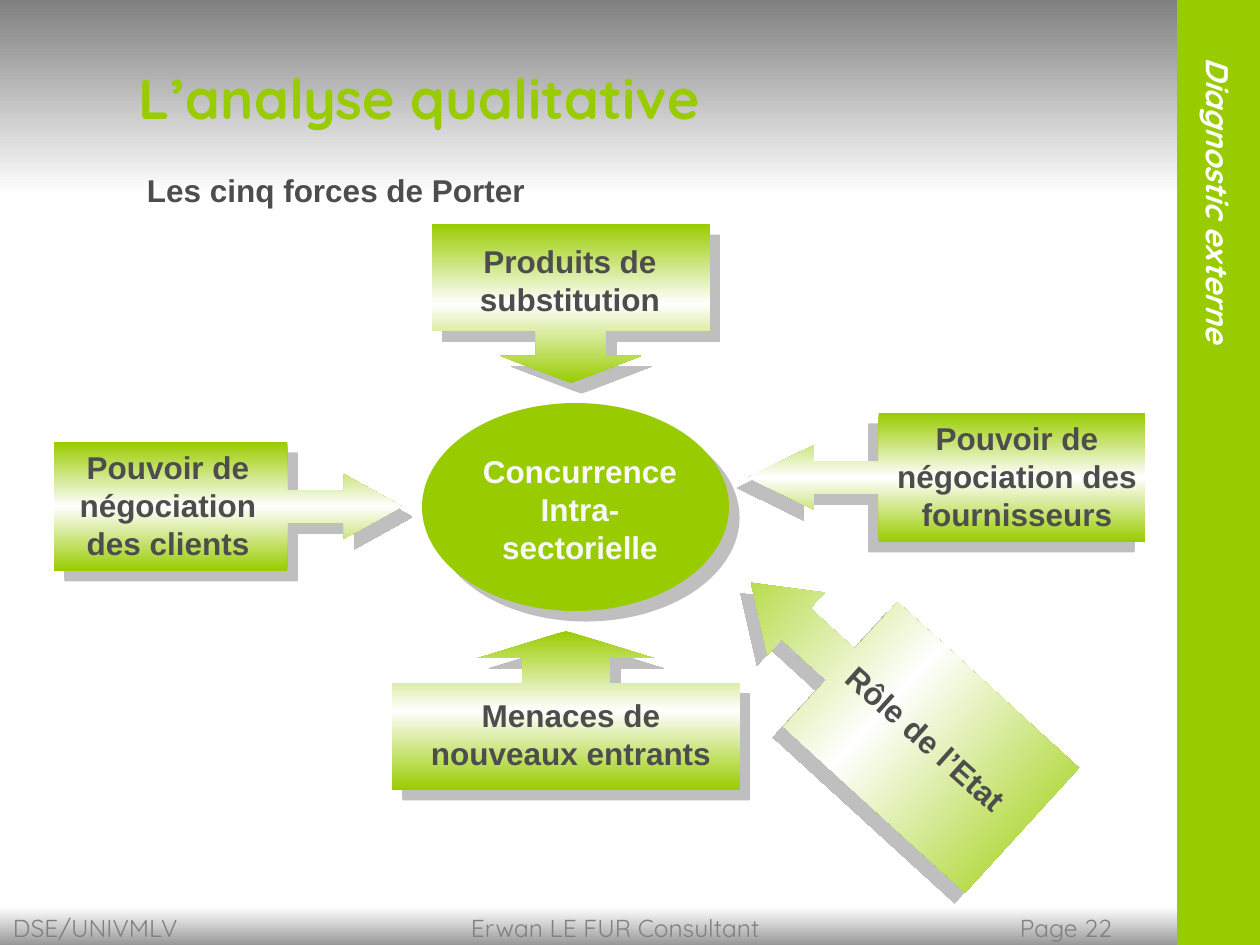
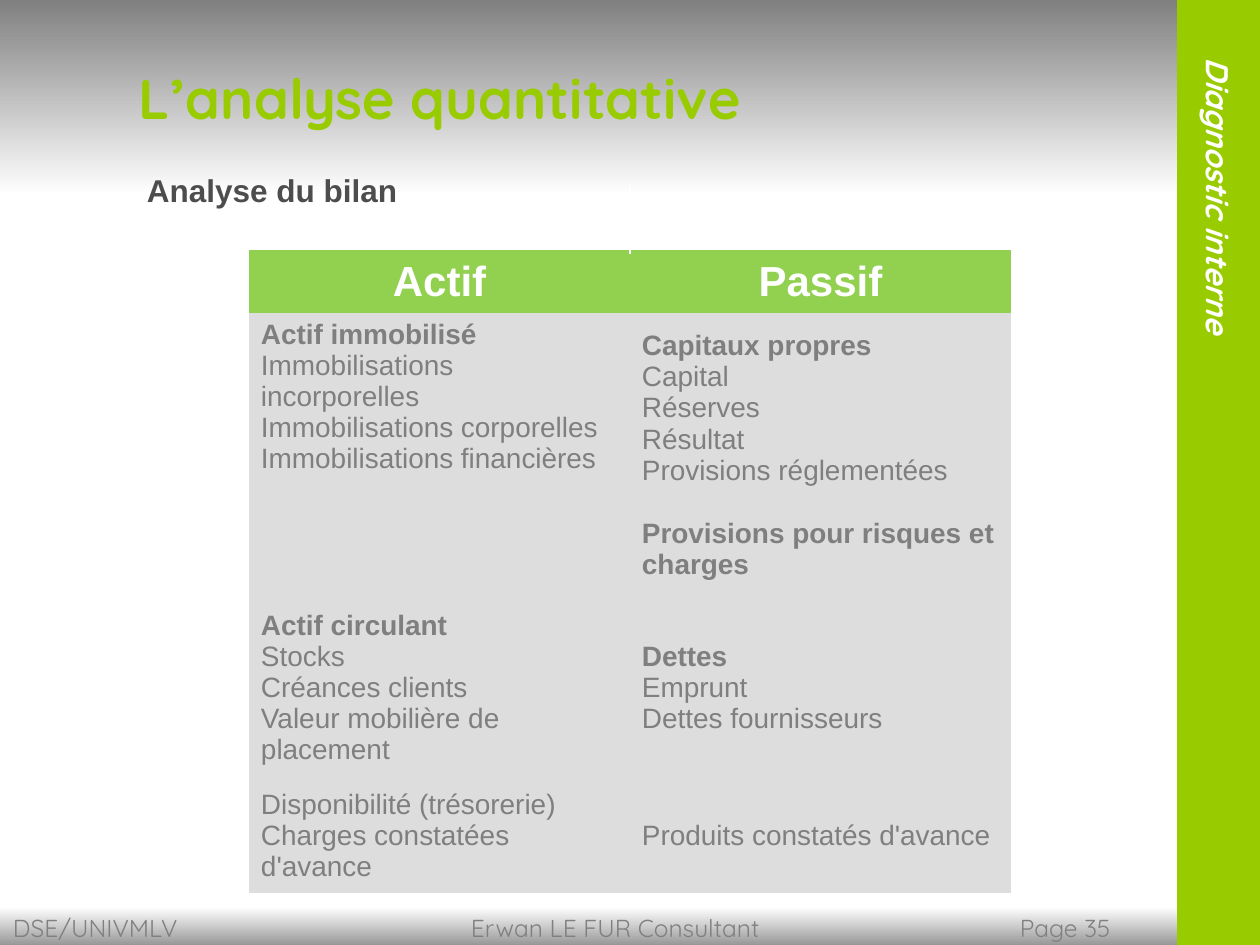
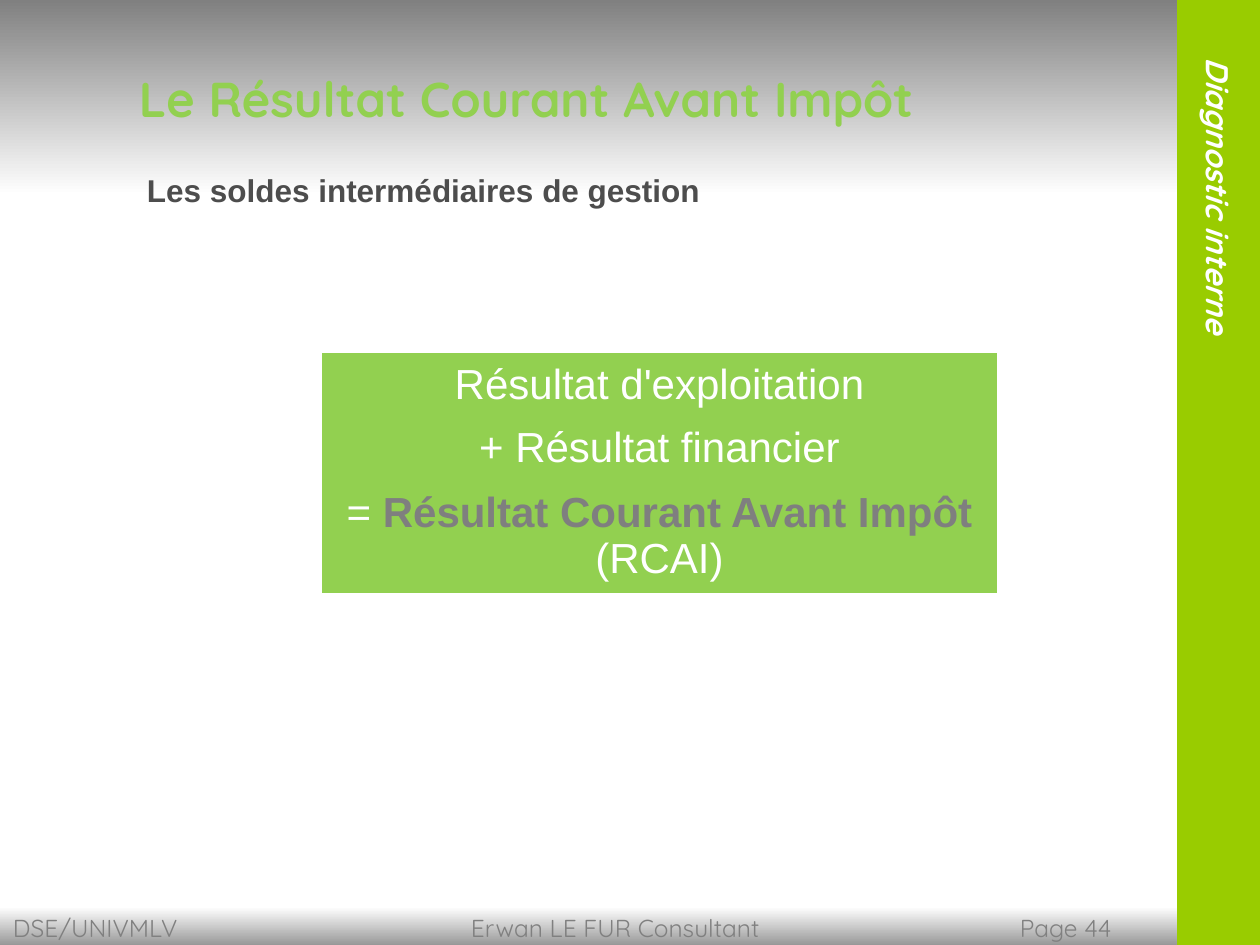
from lxml import etree
from pptx import Presentation
from pptx import util as u
from pptx.dml.color import RGBColor
from pptx.enum import shapes, text
from pptx.oxml import ns

LIME = RGBColor(0x99, 0xCC, 0x00)
LEAF = RGBColor(0x92, 0xD0, 0x50)
WHITE = RGBColor(0xFF, 0xFF, 0xFF)
PALE = RGBColor(0xF8, 0xF8, 0xF8)
SILVER = RGBColor(0xDD, 0xDD, 0xDD)
GREY = RGBColor(0x80, 0x80, 0x80)
CELL_GREY = RGBColor(0x7F, 0x7F, 0x7F)
DARK = RGBColor(0x4D, 0x4D, 0x4D)

PX = u.Inches(1) / 126
WIDTH, HEIGHT = 1260, 945
CENTER = text.PP_ALIGN.CENTER
LEFT = text.PP_ALIGN.LEFT
MIDDLE = text.MSO_ANCHOR.MIDDLE
TOP = text.MSO_ANCHOR.TOP
SHAPE = shapes.MSO_SHAPE
NO_GRID = "{2D5ABB26-0587-4C30-8999-92F81FD0307C}"
LINE_GAP = 18.4


def emu(*lengths):
    return [round(length * PX) for length in lengths]


def child(parent, tag, **attributes):
    values = {name: str(value) for name, value in attributes.items()}
    return etree.SubElement(parent, ns.qn(tag), values)


def write(para, words, font="Arial", size=18, color=DARK, bold=False,
          italic=False, align=None, before=0):
    if align is not None:
        para.alignment = align
    if before:
        para.space_before = u.Pt(before)
    span = para.add_run()
    span.text = words
    span.font.name = font
    span.font.size = u.Pt(size)
    span.font.color.rgb = color
    span.font.bold = bold
    span.font.italic = italic


def set_frame(holder, insets=(13, 6, 13, 6), anchor=TOP):
    holder.margin_left, holder.margin_top, holder.margin_right, holder.margin_bottom = emu(*insets)
    holder.vertical_anchor = anchor


class Deck:
    def __init__(self):
        self.deck = Presentation()
        self.deck.slide_width, self.deck.slide_height = emu(WIDTH, HEIGHT)
        self.page = None

    def new_page(self, title, subtitle, size=32, color=LIME):
        self.page = self.deck.slides.add_slide(self.deck.slide_layouts[5])
        box = self.page.shapes.title
        box.left, box.top, box.width, box.height = emu(0, 0, 1206, 195)
        self.gradient(box, [GREY, WHITE])
        frame = box.text_frame
        frame.word_wrap = True
        frame.auto_size = text.MSO_AUTO_SIZE.NONE
        set_frame(frame, (139, 6, 13, 6), MIDDLE)
        write(frame.paragraphs[0], title, font="Quicksand", size=size, color=color,
              bold=True, align=LEFT)
        self.label((134, 165, 665, 88), subtitle, align=LEFT)

    def finish_page(self, number, section):
        footer = self.shape(SHAPE.RECTANGLE, (0, 907, WIDTH, 47))
        self.gradient(footer, [WHITE, GREY])
        set_frame(footer.text_frame)
        para = footer.text_frame.paragraphs[0]
        para.alignment = LEFT
        stops = child(para._p.get_or_add_pPr(), "a:tabLst")
        for stop in emu(458, 1007):
            child(stops, "a:tab", pos=stop, algn="l")
        write(para, f"DSE/UNIVMLV\tErwan LE FUR Consultant\tPage {number}",
              font="Quicksand", size=14, color=GREY)

        band = self.shape(SHAPE.RECTANGLE, (1177, 0, 83, HEIGHT), LIME)
        frame = band.text_frame
        set_frame(frame, (6, 58, 6, 13), MIDDLE)
        frame._txBody.bodyPr.set("vert", "eaVert")
        write(frame.paragraphs[0], section, font="Quicksand", color=WHITE,
              bold=True, italic=True, align=CENTER)

    def gradient(self, box, colors, angle=90):
        box.fill.background()
        properties = box._element.spPr
        fill = etree.Element(ns.qn("a:gradFill"), rotWithShape="1")
        stops = child(fill, "a:gsLst")
        for index, color in enumerate(colors):
            stop = child(stops, "a:gs", pos=index * 100000 // (len(colors) - 1))
            child(stop, "a:srgbClr", val=color)
        child(fill, "a:lin", ang=angle * 60000, scaled=0)
        properties.replace(properties.find(ns.qn("a:noFill")), fill)

    def shape(self, kind, place, color=None):
        box = self.page.shapes.add_shape(kind, *emu(*place))
        box.shadow.inherit = False
        box.line.fill.background()
        if color is not None:
            box.fill.solid()
            box.fill.fore_color.rgb = color
        return box

    def shadow(self, box, direction):
        effects = box._element.spPr.find(ns.qn("a:effectLst"))
        shade = child(effects, "a:outerShdw", dist=u.Pt(8.5), dir=direction * 60000,
                      algn="ctr", rotWithShape=0)
        child(child(shade, "a:srgbClr", val=GREY), "a:alpha", val=50000)

    def callout(self, kind, place, adjustments, direction=45, rotation=0, angle=90):
        box = self.shape(kind, place)
        for index, value in enumerate(adjustments):
            box.adjustments[index] = value
        box.rotation = rotation
        self.gradient(box, [LIME, WHITE, LIME], angle)
        self.shadow(box, direction)

    def label(self, place, words, color=DARK, align=CENTER, rotation=0):
        box = self.page.shapes.add_textbox(*emu(*place))
        box.rotation = rotation
        box.text_frame.word_wrap = True
        set_frame(box.text_frame)
        write(box.text_frame.paragraphs[0], words, color=color, bold=True, align=align)

    def table(self, left, top, widths, heights):
        graphic = self.page.shapes.add_table(
            len(heights), len(widths), *emu(left, top, sum(widths), sum(heights)))
        grid = graphic.table
        grid.first_row = grid.horz_banding = False
        grid._tbl.tblPr.find(ns.qn("a:tableStyleId")).text = NO_GRID
        for column, width in zip(grid.columns, emu(*widths)):
            column.width = width
        for row, height in zip(grid.rows, emu(*heights)):
            row.height = height
        return grid

    def cell(self, grid, row, column, color, inset=12, anchor=MIDDLE):
        cell = grid.cell(row, column)
        cell.fill.solid()
        cell.fill.fore_color.rgb = color
        set_frame(cell, (inset, 6, inset, 6), anchor)
        return cell.text_frame

    def sections(self, frame, groups):
        para = frame.paragraphs[0]
        fresh = True
        for index, (heading, lines) in enumerate(groups):
            entries = [(heading, True)] if heading else []
            entries += [(line, False) for line in lines]
            for position, (words, bold) in enumerate(entries):
                para = para if fresh else frame.add_paragraph()
                fresh = False
                before = LINE_GAP if index and position == 0 else 0
                write(para, words, size=16, color=CELL_GREY, bold=bold, before=before)

    def line(self, start, end, color, width):
        rule = self.page.shapes.add_connector(
            shapes.MSO_CONNECTOR.STRAIGHT, *emu(*start, *end))
        rule.line.color.rgb = color
        rule.line.width = u.Pt(width)
        child(rule._element.spPr, "a:effectLst")


def five_forces(deck):
    deck.new_page("L’analyse qualitative", "Les cinq forces de Porter")
    rivalry = deck.shape(SHAPE.OVAL, (422, 403, 307, 208), LIME)
    deck.shadow(rivalry, 45)
    deck.callout(SHAPE.RIGHT_ARROW_CALLOUT, (703, 622, 367, 169),
                 (0.25, 0.25, 0.36, 0.67), 135, rotation=222.4, angle=0)
    deck.callout(SHAPE.LEFT_ARROW_CALLOUT, (748, 413, 397, 129),
                 (0.25, 0.25, 0.51, 0.67), 135)
    deck.callout(SHAPE.UP_ARROW_CALLOUT, (392, 631, 348, 159), (0.55, 0.55, 0.17, 0.67))
    deck.callout(SHAPE.DOWN_ARROW_CALLOUT, (432, 224, 278, 159), (0.44, 0.44, 0.17, 0.67))
    deck.callout(SHAPE.RIGHT_ARROW_CALLOUT, (54, 442, 348, 129), (0.25, 0.25, 0.45, 0.67))
    for place, words in (
        ((461, 236, 218, 88), "Produits de substitution"),
        ((402, 690, 338, 88), "Menaces de nouveaux entrants"),
        ((44, 442, 248, 126), "Pouvoir de négociation des clients"),
        ((848, 413, 338, 126), "Pouvoir de négociation des fournisseurs"),
    ):
        deck.label(place, words)
    deck.label((811, 719, 243, 50), "Rôle de l’Etat", align=LEFT, rotation=41.7)
    deck.label((461, 446, 238, 126), "Concurrence Intra-sectorielle", color=PALE)
    deck.finish_page(22, "Diagnostic externe")


def balance_sheet(deck):
    deck.new_page("L’analyse quantitative", "Analyse du bilan")
    grid = deck.table(249, 250, [381, 381], [63, 285, 180, 115])
    for column, words in enumerate(("Actif", "Passif")):
        frame = deck.cell(grid, 0, column, LEAF)
        write(frame.paragraphs[0], words, size=24, color=WHITE, bold=True, align=CENTER)
    rows = [
        ([("Actif immobilisé", ["Immobilisations incorporelles",
                                "Immobilisations corporelles",
                                "Immobilisations financières"])],
         [("Capitaux propres", ["Capital", "Réserves", "Résultat",
                                "Provisions réglementées"]),
          ("Provisions pour risques et charges", [])]),
        ([("Actif circulant", ["Stocks", "Créances clients",
                               "Valeur mobilière de placement"])],
         [("Dettes", ["Emprunt", "Dettes fournisseurs"])]),
        ([("", ["Disponibilité (trésorerie)", "Charges constatées d'avance"])],
         [("", ["Produits constatés d'avance"])]),
    ]
    for row, sides in enumerate(rows, 1):
        for column, groups in enumerate(sides):
            anchor = TOP if (row, column) == (1, 0) else MIDDLE
            deck.sections(deck.cell(grid, row, column, SILVER, anchor=anchor), groups)
    deck.line((630, 185), (630, 254), WHITE, 0.75)
    deck.finish_page(35, "Diagnostic interne")


def pretax_result(deck):
    deck.new_page("Le Résultat Courant Avant Impôt", "Les soldes intermédiaires de gestion",
                  size=28, color=LEAF)
    grid = deck.table(322, 353, [675], [63, 63, 114])
    formula = [
        [("Résultat d'exploitation", False)],
        [("+ Résultat financier", False)],
        [("= ", False), ("Résultat Courant Avant Impôt ", True), ("(RCAI)", False)],
    ]
    for row, spans in enumerate(formula):
        para = deck.cell(grid, row, 0, LEAF, inset=4).paragraphs[0]
        for words, strong in spans:
            write(para, words, size=24, color=CELL_GREY if strong else WHITE,
                  bold=strong, align=CENTER)
    deck.finish_page(44, "Diagnostic interne")


def main():
    deck = Deck()
    five_forces(deck)
    balance_sheet(deck)
    pretax_result(deck)
    deck.deck.save("out.pptx")


if __name__ == "__main__":
    main()
